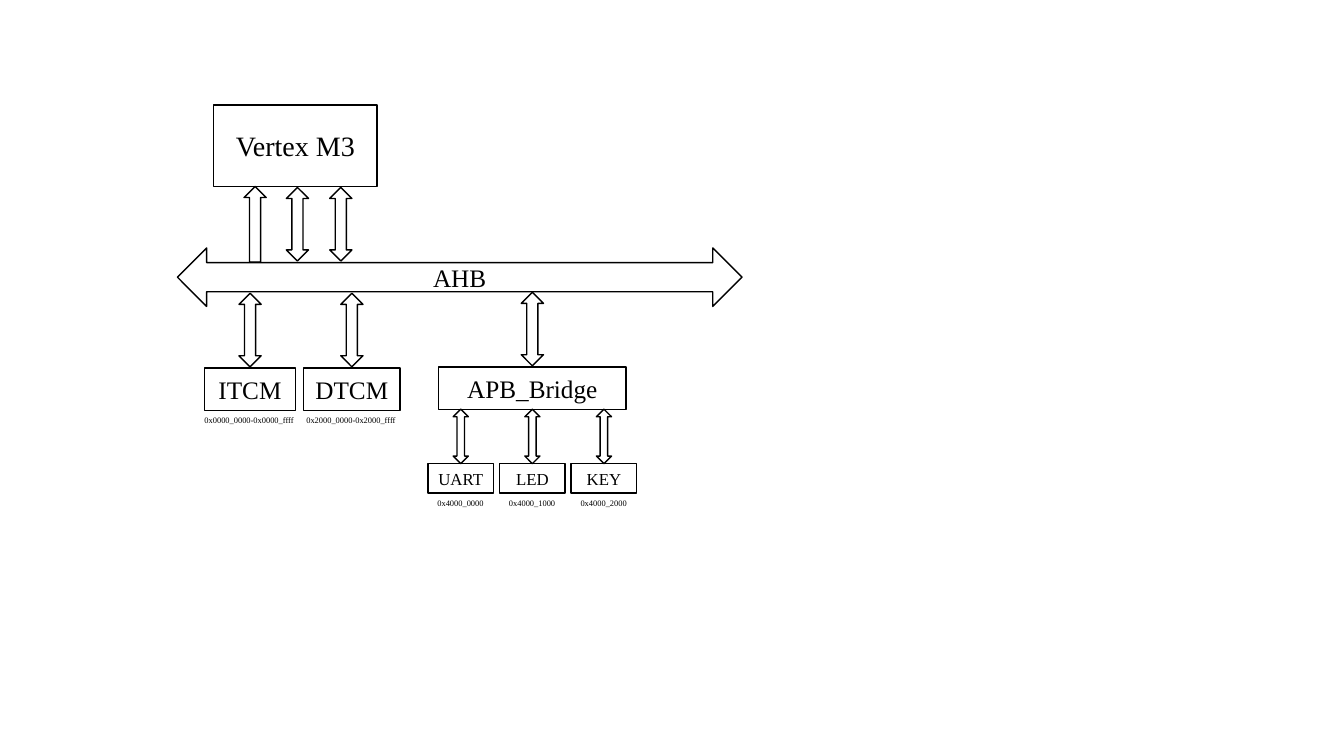
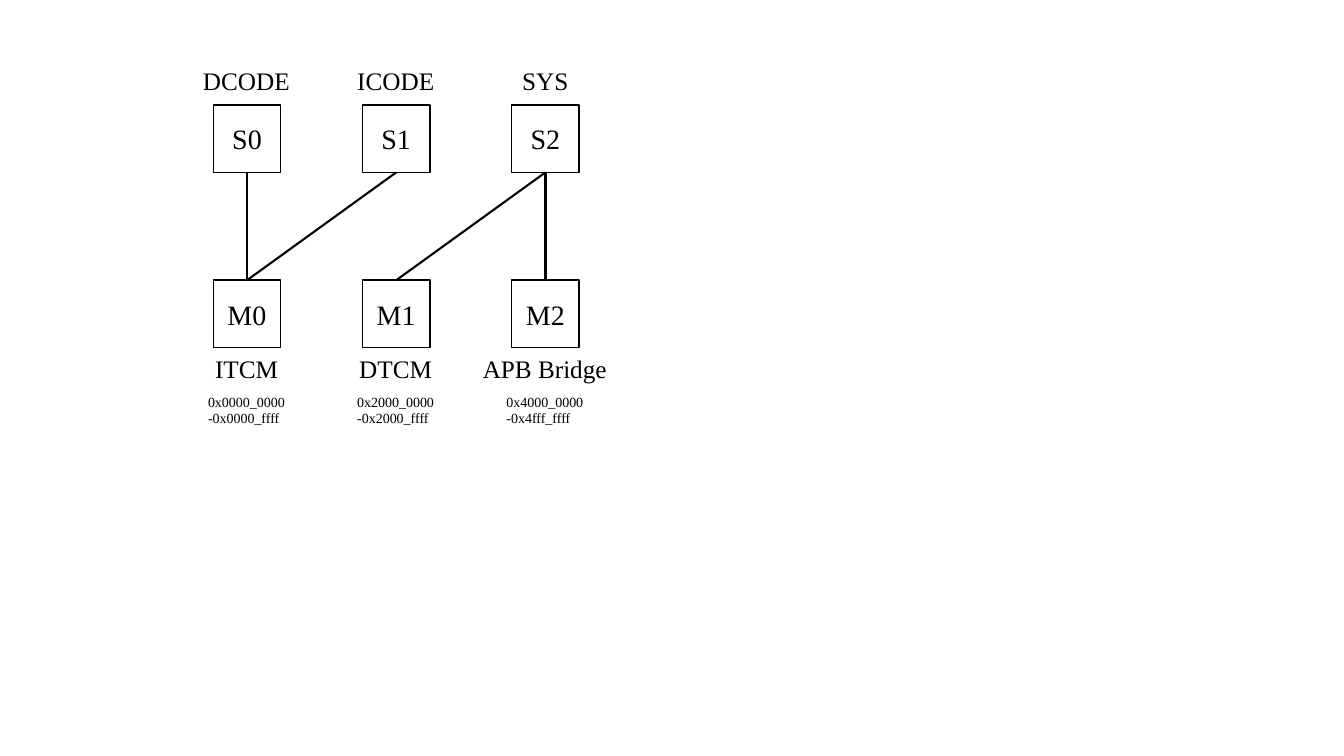
from dataclasses import dataclass

from lxml.etree import SubElement
from pptx import Presentation
from pptx.dml.color import RGBColor
from pptx.enum.shapes import MSO_CONNECTOR, MSO_SHAPE
from pptx.enum.text import MSO_ANCHOR, MSO_AUTO_SIZE, PP_ALIGN
from pptx.oxml.ns import qn
from pptx.shapes.autoshape import Shape
from pptx.slide import Slide
from pptx.text.text import TextFrame
from pptx.util import Inches, Pt

# Shared style
BLACK = RGBColor(0, 0, 0)
WHITE = RGBColor(255, 255, 255)
FONT = "Times New Roman"


@dataclass(frozen=True)
class Block:
    """A box on the bus, with its address label below."""
    name: str
    mid: float
    top: float
    width: float
    height: float
    size: int
    span: str = ""
    span_width: float = 0


@dataclass(frozen=True)
class Arrow:
    mid: float
    top: float
    width: float = 0.22
    height: float = 0.73
    kind: MSO_SHAPE = MSO_SHAPE.UP_DOWN_ARROW


@dataclass(frozen=True)
class Port:
    """A matrix column: one upper and one lower port."""
    source: str
    source_width: float
    target: str
    target_width: float
    span: str


# Drawing functions
def write(frame: TextFrame, text: str, *, size: int, align: PP_ALIGN = PP_ALIGN.LEFT,
          anchor: MSO_ANCHOR = MSO_ANCHOR.TOP) -> None:
    frame.text = text
    frame.vertical_anchor = anchor
    for para in frame.paragraphs:
        para.alignment = align
        para.font.name = FONT
        para.font.size = Pt(size)
        para.font.color.rgb = BLACK


def draw(slide: Slide, kind: MSO_SHAPE, mid: float, top: float, width: float,
         height: float, text: str = "", size: int = 18) -> Shape:
    shape = slide.shapes.add_shape(kind, Inches(mid - width / 2), Inches(top),
                                   Inches(width), Inches(height))
    shape.shadow.inherit = False
    shape.fill.background()
    shape.line.color.rgb = BLACK
    shape.line.width = Pt(1)
    if text:
        frame = shape.text_frame
        frame.margin_left = frame.margin_right = 0
        write(frame, text, size=size, align=PP_ALIGN.CENTER, anchor=MSO_ANCHOR.MIDDLE)
    return shape


def label(slide: Slide, text: str, mid: float, top: float, width: float,
          height: float, size: int) -> None:
    box = slide.shapes.add_textbox(Inches(mid - width / 2), Inches(top),
                                   Inches(width), Inches(height))
    box.text_frame.word_wrap = False
    box.text_frame.auto_size = MSO_AUTO_SIZE.SHAPE_TO_FIT_TEXT
    write(box.text_frame, text, size=size)


def link(slide: Slide, upper: Shape, lower: Shape) -> None:
    line = slide.shapes.add_connector(MSO_CONNECTOR.STRAIGHT, 0, 0, 0, 0)
    line.begin_connect(upper, 2)
    line.end_connect(lower, 0)
    line.line.color.rgb = BLACK
    line.line.width = Pt(1.5)
    SubElement(line._element.spPr, qn("a:effectLst"))


def add_page(deck: Presentation) -> Slide:
    slide = deck.slides.add_slide(deck.slide_layouts[6])
    slide.background.fill.solid()
    slide.background.fill.fore_color.rgb = WHITE
    return slide


# Slide 1: bus diagram
CORE = Block("Vertex M3", 2.93, 1.04, 1.62, 0.81, 20)
BRIDGE = Block("APB_Bridge", 5.28, 3.64, 1.86, 0.42, 18)
STORES = [
    Block("ITCM", 2.48, 3.65, 0.9, 0.42, 18, "0x0000_0000-0x0000_ffff", 1.1),
    Block("DTCM", 3.49, 3.65, 0.96, 0.42, 18, "0x2000_0000-0x2000_ffff", 1.1),
]
DEVICES = [
    Block(name, BRIDGE.mid + 0.71 * (i - 1), 4.6, 0.65, 0.29, 12, f"0x4000_{i}000", 0.66)
    for i, name in enumerate(("UART", "LED", "KEY"))
]
ARROWS = [
    Arrow(2.53, 1.85, height=0.75, kind=MSO_SHAPE.UP_ARROW),
    Arrow(2.95, 1.86),
    Arrow(3.38, 1.86),
    *(Arrow(block.mid, block.top - 0.74) for block in (*STORES, BRIDGE)),
    *(Arrow(block.mid, 4.06, 0.15, 0.54) for block in DEVICES),
]


def draw_bus(slide: Slide) -> None:
    for block in (CORE, BRIDGE, *STORES, *DEVICES):
        draw(slide, MSO_SHAPE.RECTANGLE, block.mid, block.top, block.width,
             block.height, block.name, block.size)
        if block.span:
            label(slide, block.span, block.mid, block.top + block.height,
                  block.span_width, 0.2, 6)
    for arrow in ARROWS:
        draw(slide, arrow.kind, arrow.mid, arrow.top, arrow.width, arrow.height)
    draw(slide, MSO_SHAPE.LEFT_RIGHT_ARROW, 4.56, 2.46, 5.6, 0.58, "AHB")


# Slide 2: port matrix
SIDE = 0.67
FIRST, LAST = 2.45, 5.41
UPPER, LOWER = 1.04, 2.78
PORTS = [
    Port("DCODE", 1.07, "ITCM", 0.83, "0x0000_0000\n-0x0000_ffff"),
    Port("ICODE", 0.97, "DTCM", 0.93, "0x2000_0000\n-0x2000_ffff"),
    Port("SYS", 0.66, "APB Bridge", 1.44, "0x4000_0000\n-0x4fff_ffff"),
]
LINKS = [(0, 0), (1, 0), (2, 1), (2, 2)]


def draw_matrix(slide: Slide) -> None:
    pitch = (LAST - FIRST) / (len(PORTS) - 1)
    uppers, lowers = [], []
    for i, port in enumerate(PORTS):
        mid = FIRST + pitch * i
        for row, top, name in ((uppers, UPPER, "S"), (lowers, LOWER, "M")):
            row.append(draw(slide, MSO_SHAPE.RECTANGLE, mid, top, SIDE, SIDE,
                            f"{name}{i}", 20))
        label(slide, port.source, mid, 0.6, port.source_width, 0.4, 18)
        label(slide, port.target, mid, 3.46, port.target_width, 0.4, 18)
        label(slide, port.span, mid, 3.85, 0.97, 0.44, 10)
    for start, end in LINKS:
        link(slide, uppers[start], lowers[end])


# Build the deck
deck = Presentation()
deck.slide_width, deck.slide_height = Inches(13.33), Inches(7.5)
draw_bus(add_page(deck))
draw_matrix(add_page(deck))
deck.save("out.pptx")
